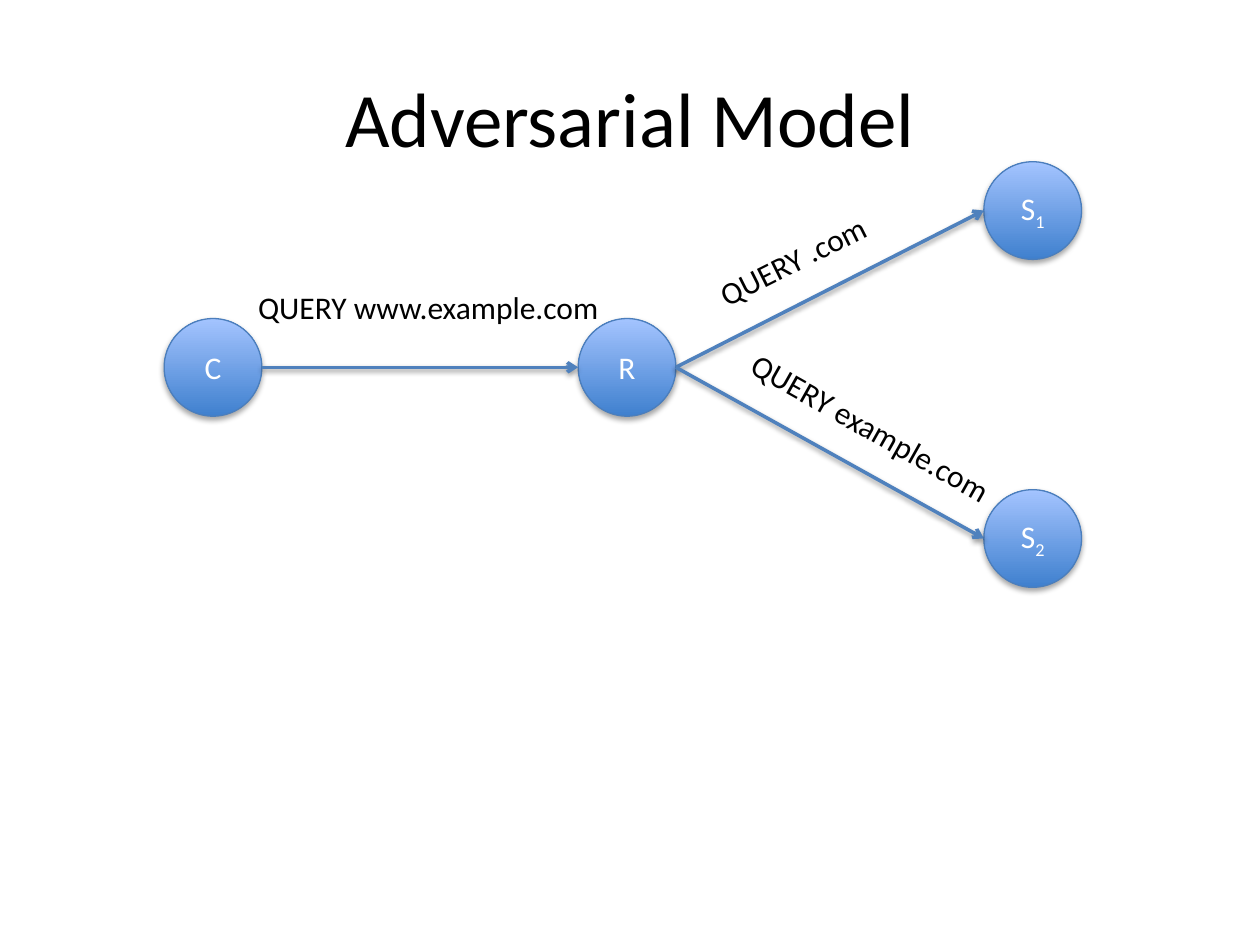
from pptx import Presentation
from pptx.dml.color import RGBColor
from pptx.enum.shapes import MSO_CONNECTOR, MSO_SHAPE
from pptx.enum.text import MSO_ANCHOR, MSO_AUTO_SIZE, PP_ALIGN
from pptx.oxml.ns import qn
from pptx.util import Pt
from lxml import etree

OVAL = MSO_SHAPE.OVAL
STRAIGHT = MSO_CONNECTOR.STRAIGHT
MIDDLE = MSO_ANCHOR.MIDDLE
FIT_SHAPE = MSO_AUTO_SIZE.SHAPE_TO_FIT_TEXT
CENTER, LEFT = PP_ALIGN.CENTER, PP_ALIGN.LEFT


def color(value):
    return RGBColor.from_string(value)


def write(shape, text, size, text_color, alignment, frame_format):
    frame = shape.text_frame
    for name, value in frame_format.items():
        setattr(frame, name, value)
    paragraph = frame.paragraphs[0]
    paragraph.alignment = alignment
    run = paragraph.add_run()
    run.text = text
    for name, value in {"size": Pt(size), "name": "Calibri"}.items():
        setattr(run.font, name, value)
    run.font.color.rgb = color(text_color)
    return paragraph


presentation = Presentation()
presentation.slide_width = Pt(720)
presentation.slide_height = Pt(540)
slide = presentation.slides.add_slide(presentation.slide_layouts[5])

title = slide.shapes.title
title_place = {"left": Pt(36), "top": Pt(21.6), "width": Pt(648), "height": Pt(90)}
for name, value in title_place.items():
    setattr(title, name, value)
write(title, "Adversarial Model", 44, "000000", CENTER, {"vertical_anchor": MIDDLE})

diameter = 55.8
radius = diameter / 2
nodes = {
    "C": (121.7, 209.9),
    "R": (358.3, 209.9),
    "S1": (590.1, 120.3),
    "S2": (590.1, 307.7),
}
for node, (center_x, center_y) in nodes.items():
    circle = slide.shapes.add_shape(
        OVAL, Pt(center_x - radius), Pt(center_y - radius), Pt(diameter), Pt(diameter)
    )
    circle.fill.gradient()
    circle.fill.gradient_angle = 90
    for stop, value in zip(circle.fill.gradient_stops, ("3F80CE", "A4C4FF")):
        stop.color.rgb = color(value)
    circle.line.color.rgb = color("4B7EBC")
    circle.line.width = Pt(0.75)
    paragraph = write(circle, node[0], 18, "FFFFFF", CENTER, {"vertical_anchor": MIDDLE})
    if node[1:]:
        subscript = paragraph.add_run()
        subscript.text = node[1:]
        for name, value in {"size": Pt(18), "name": "Calibri"}.items():
            setattr(subscript.font, name, value)
        subscript.font.color.rgb = color("FFFFFF")
        subscript.font._element.set("baseline", "-25000")

for source, target in (("C", "R"), ("R", "S1"), ("R", "S2")):
    start_x, start_y = nodes[source]
    end_x, end_y = nodes[target]
    arrow = slide.shapes.add_connector(
        STRAIGHT, Pt(start_x + radius), Pt(start_y), Pt(end_x - radius), Pt(end_y)
    )
    arrow.line.color.rgb = color("4F81BD")
    arrow.line.width = Pt(2)
    etree.SubElement(arrow.line._get_or_add_ln(), qn("a:tailEnd"), type="arrow")

queries = (
    ("QUERY www.example.com", 140.4, 161.3, 213.1, 0),
    ("QUERY .com", 400.3, 133.9, 106.6, 333.3),
    ("QUERY example.com", 414, 230.4, 169.2, 29.5),
)
for text, left, top, width, rotation in queries:
    label = slide.shapes.add_textbox(Pt(left), Pt(top), Pt(width), Pt(29))
    label.rotation = rotation
    write(label, text, 18, "000000", LEFT, {"word_wrap": False, "auto_size": FIT_SHAPE})

presentation.save("out.pptx")
